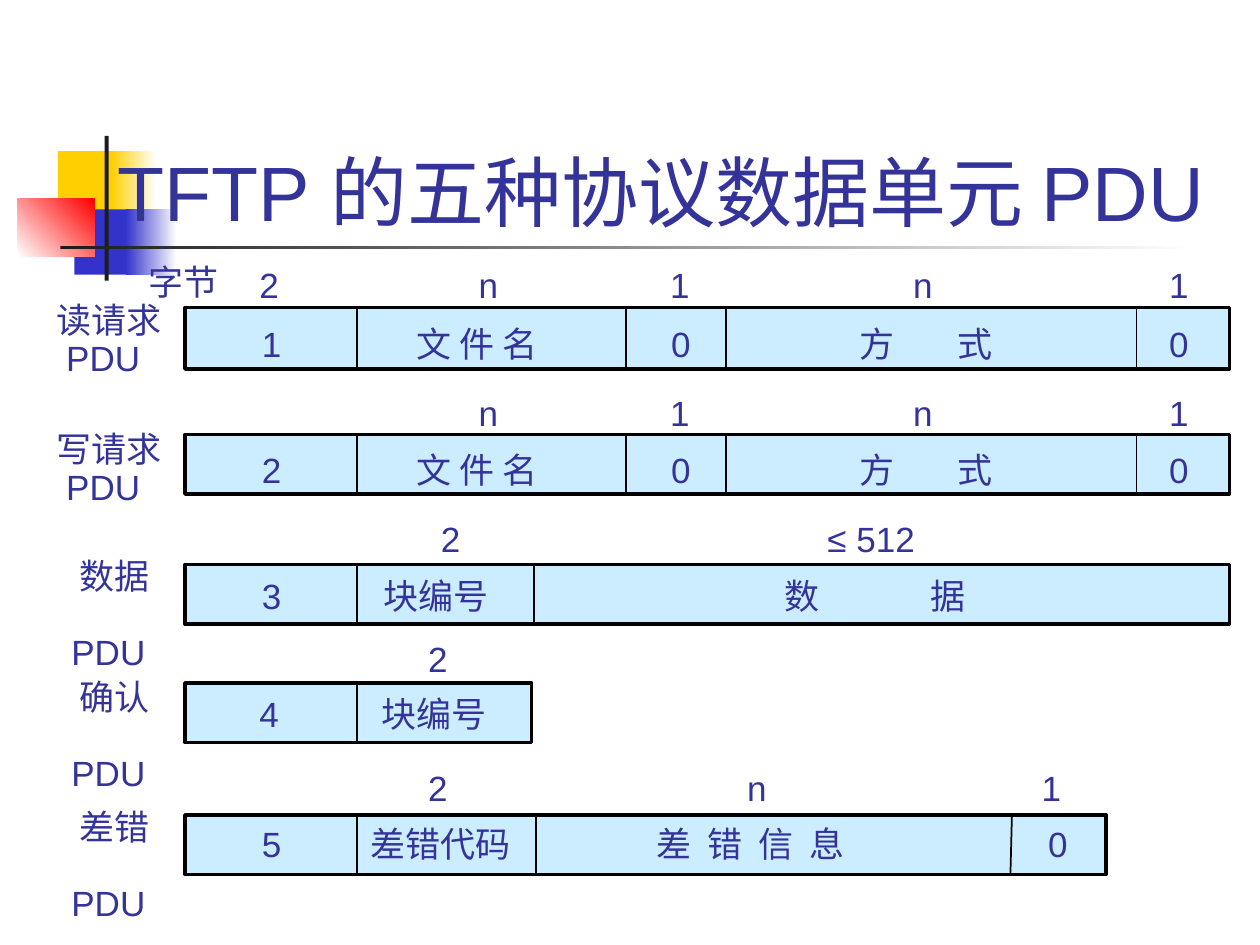
from lxml import etree
from pptx import Presentation
from pptx import util as u
from pptx.dml.color import RGBColor
from pptx.enum import shapes, text
from pptx.oxml import ns


def color(hex_string):
    return RGBColor.from_string(hex_string)


class SlideBuilder:
    """Holds the style and the current slide. All lengths are centimetres."""
    font = "Arial"
    ink = "333399"
    bar_fill = "CCECFF"
    line_color = "000000"
    digit_width = 0.89
    box_height = 1.09

    def __init__(self, slide):
        self.slide = slide

    def rectangle(self, left, top, width, height, fill, end=None, angle=0, outline=None):
        shape = self.slide.shapes.add_shape(
            shapes.MSO_SHAPE.RECTANGLE, *map(u.Cm, (left, top, width, height)))
        shape.shadow.inherit = False
        if end:
            shape.fill.gradient()
            shape.fill.gradient_angle = angle
            for stop, stop_color in zip(shape.fill.gradient_stops, (fill, end)):
                stop.color.rgb = color(stop_color)
        else:
            shape.fill.solid()
            shape.fill.fore_color.rgb = color(fill)
        if outline:
            shape.line.color.rgb = color(self.line_color)
            shape.line.width = u.Pt(outline)
        else:
            shape.line.fill.background()

    def divider(self, x, top, height, slant=0):
        line = self.slide.shapes.add_connector(
            shapes.MSO_CONNECTOR.STRAIGHT,
            *map(u.Cm, (x, top, x - slant, top + height)))
        line.line.color.rgb = color(self.line_color)
        line.line.width = u.Pt(1)
        etree.SubElement(line._element.spPr, ns.qn("a:effectLst"))

    def label(self, lines, left, top, width=digit_width, height=box_height, size=20,
              wrap=False, spacing=None, align=text.PP_ALIGN.LEFT,
              anchor=text.MSO_ANCHOR.TOP):
        shape = self.slide.shapes.add_textbox(*map(u.Cm, (left, top, width, height)))
        frame = shape.text_frame
        frame.word_wrap = wrap
        frame.vertical_anchor = anchor
        for index, line in enumerate(lines):
            paragraph = frame.add_paragraph() if index else frame.paragraphs[0]
            paragraph.alignment = align
            if spacing:
                paragraph.line_spacing = spacing
            run = paragraph.add_run()
            run.text = line
            run.font.name = self.font
            run.font.size = u.Pt(size)
            run.font.color.rgb = color(self.ink)
        return frame

    def spread_label(self, characters, left, top, pitch):
        """Sets characters at an even pitch with tab stops."""
        width = pitch * (len(characters) - 1) + 1.6
        frame = self.label(["\t".join(characters)], left, top, width, wrap=True)
        properties = frame.paragraphs[0]._p.get_or_add_pPr()
        tabs = etree.SubElement(properties, ns.qn("a:tabLst"))
        for index in range(1, len(characters)):
            etree.SubElement(tabs, ns.qn("a:tab"),
                             pos=str(u.Cm(pitch * index)), algn="l")

    def pdu(self, name, name_box, tops, width, height, dividers, sizes, fields, spreads):
        name_left, name_width = name_box
        bar_top, name_top, size_top, field_top = tops
        self.rectangle(BAR_LEFT, bar_top, width, height, self.bar_fill, outline=2)
        self.label([name, " PDU"], name_left, name_top, name_width, 1.78, spacing=0.9)
        for x, slant in dividers:
            self.divider(x, bar_top, height, slant)
        for item, left, *item_width in sizes:
            self.label([item], left, size_top, *item_width)
        for item, left, *item_width in fields:
            self.label([item], left, field_top, *item_width)
        for characters, left, pitch in spreads:
            self.spread_label(characters, left, field_top, pitch)


BAR_LEFT, FULL_WIDTH = 3.73, 21.06
OPCODE_LEFT = 5.03
OPCODE_DIVIDER = (7.19, 0)
LONG_NAME, SHORT_NAME = (0.89, 2.62), (1.19, 2.18)

# Read and write requests share one layout
REQUEST_DIVIDERS = [OPCODE_DIVIDER, (12.62, 0), (14.63, 0), (22.91, 0)]
REQUEST_SIZES = [("n", 9.4), ("1", 13.26), ("n", 18.16), ("1", 23.32)]
REQUEST_FIELDS = [("文 件 名", 8.15, 2.95), ("0", 13.28), ("0", 23.32)]
REQUEST_SPREADS = [("方式", 17.07, 1.98)]

# name, name box, tops of bar/name/sizes/fields, width, height,
# dividers, sizes, fields, spread fields
PDUS = [
    ("读请求", LONG_NAME, (6.2, 5.99, 5.18, 6.38), FULL_WIDTH, 1.24, REQUEST_DIVIDERS,
     [("2", 4.98)] + REQUEST_SIZES, [("1", OPCODE_LEFT)] + REQUEST_FIELDS,
     REQUEST_SPREADS),
    ("写请求", LONG_NAME, (8.76, 8.59, 7.77, 8.92), FULL_WIDTH, 1.2, REQUEST_DIVIDERS,
     REQUEST_SIZES, [("2", OPCODE_LEFT)] + REQUEST_FIELDS, REQUEST_SPREADS),
    (" 数据", SHORT_NAME, (11.38, 11.15, 10.31, 11.46), FULL_WIDTH, 1.2,
     [OPCODE_DIVIDER, (10.77, 0)], [("2", 8.64), ("≤ 512", 16.43, 2.44)],
     [("3", OPCODE_LEFT), ("块编号", 7.49, 2.62)], [("数据", 15.57, 2.93)]),
    (" 确认", SHORT_NAME, (13.77, 13.59, 12.73, 13.84), 6.99, 1.2,
     [OPCODE_DIVIDER], [("2", 8.38)],
     [("4", 4.98), ("块编号", 7.44, 2.62)], []),
    (" 差错", SHORT_NAME, (16.43, 16.21, 15.32, 16.46), 18.57, 1.2,
     [OPCODE_DIVIDER, (10.8, 0), (20.4, 0.03)],
     [("2", 8.38), ("n", 14.81), ("1", 20.75)],
     [("5", OPCODE_LEFT), ("差错代码", 7.21, 3.33), ("0", 20.88)],
     [("差错信息", 12.98, 1.03)]),
]


def main():
    presentation = Presentation()
    presentation.slide_width, presentation.slide_height = u.Cm(25.4), u.Cm(19.05)
    builder = SlideBuilder(presentation.slides.add_slide(presentation.slide_layouts[6]))

    # Corner ornament and rule
    builder.rectangle(1.17, 3.05, 1.22, 1.32, "FFCF01")
    builder.rectangle(2.24, 3.05, 0.91, 1.32, "FFCF01", "FFFFFF")
    builder.rectangle(1.5, 4.22, 1.17, 1.32, "3333CC")
    builder.rectangle(2.54, 4.22, 1.02, 1.32, "3333CC", "FFFFFF")
    builder.rectangle(0.36, 4.01, 1.55, 1.17, "FFFFFF", "FF0000", angle=45)
    builder.rectangle(2.11, 2.74, 0.08, 2.92, "1C1C1C")
    builder.rectangle(1.22, 4.95, 22.86, 0.08, "1C1C1C", "FFFFFF")

    # Title
    builder.label(["TFTP 的五种协议数据单元 PDU "], 2.11, 0.84, 22.86, 4.06, size=44,
                  wrap=True, align=text.PP_ALIGN.CENTER, anchor=text.MSO_ANCHOR.BOTTOM)

    # Five PDU formats
    for pdu in PDUS:
        builder.pdu(*pdu)

    # Unit of the sizes
    builder.label(["字节"], 2.74, 5.13, 1.93)

    presentation.save("out.pptx")


if __name__ == "__main__":
    main()
